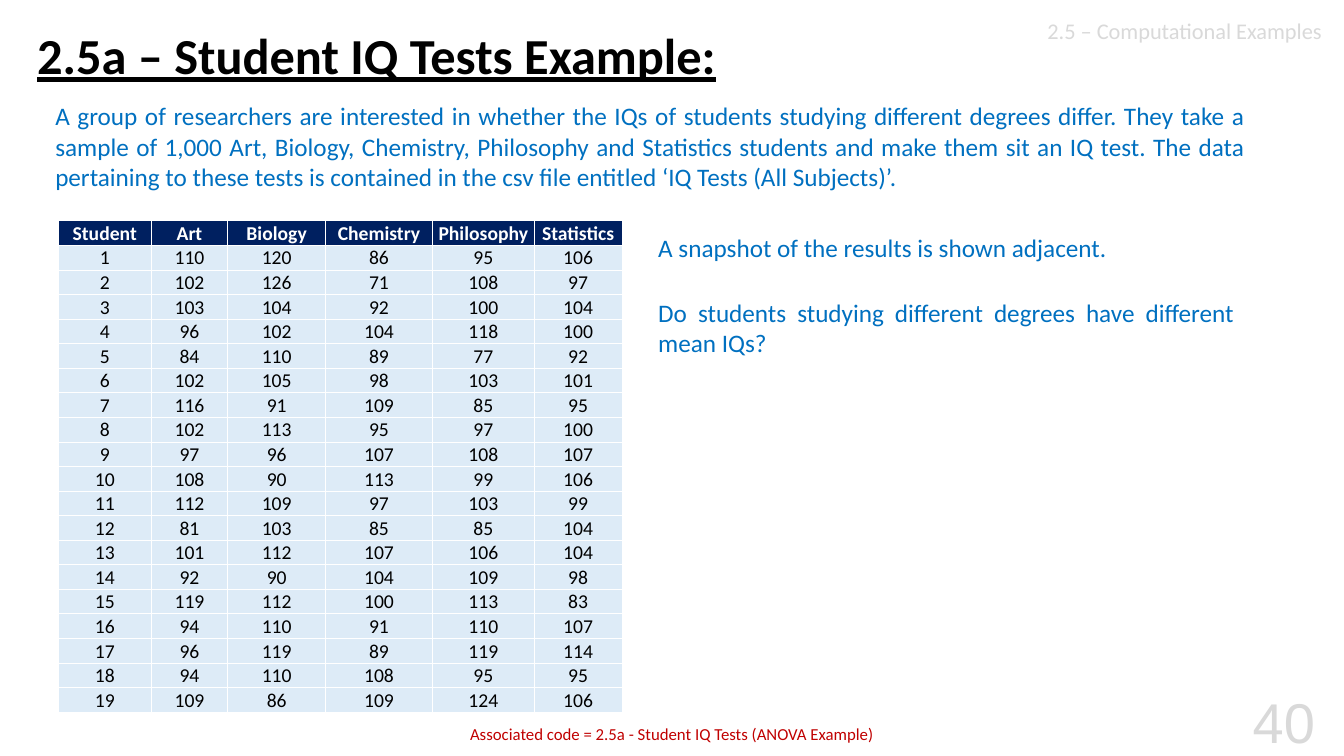
from pptx import Presentation
from pptx.dml.color import RGBColor
from pptx.enum import text
from pptx.oxml import parse_xml
from pptx.oxml.ns import nsdecls
from pptx.util import Inches, Pt

BLACK = RGBColor(0x00, 0x00, 0x00)
WHITE = RGBColor(0xFF, 0xFF, 0xFF)
BLUE = RGBColor(0x00, 0x70, 0xC0)
NAVY = RGBColor(0x00, 0x20, 0x60)
PALE_BLUE = RGBColor(0xDD, 0xEB, 0xF7)
RED = RGBColor(0xC0, 0x00, 0x00)
GREY = RGBColor(0xD9, 0xD9, 0xD9)

ALIGN = text.PP_ALIGN
INTRO = (
    "A group of researchers are interested in whether the IQs of students "
    "studying different degrees differ. They take a sample of 1,000 Art, Biology, "
    "Chemistry, Philosophy and Statistics students and make them sit an IQ test. "
    "The data pertaining to these tests is contained in the csv file entitled "
    "‘IQ Tests (All Subjects)’."
)
SUBJECTS = ["Art", "Biology", "Chemistry", "Philosophy", "Statistics"]
SCORES = [
    (110, 120, 86, 95, 106),
    (102, 126, 71, 108, 97),
    (103, 104, 92, 100, 104),
    (96, 102, 104, 118, 100),
    (84, 110, 89, 77, 92),
    (102, 105, 98, 103, 101),
    (116, 91, 109, 85, 95),
    (102, 113, 95, 97, 100),
    (97, 96, 107, 108, 107),
    (108, 90, 113, 99, 106),
    (112, 109, 97, 103, 99),
    (81, 103, 85, 85, 104),
    (101, 112, 107, 106, 104),
    (92, 90, 104, 109, 98),
    (119, 112, 100, 113, 83),
    (94, 110, 91, 110, 107),
    (96, 119, 89, 119, 114),
    (94, 110, 108, 95, 95),
    (109, 86, 109, 124, 106),
]
COLUMN_WIDTHS = [0.92, 0.76, 0.97, 1.06, 1.01, 0.87]
ROW_HEIGHT = 0.22


def add_span(para, words, size, color, bold=False, underline=False, font="Calibri"):
    """Add one formatted run to a paragraph."""
    span = para.add_run()
    span.text = words
    span.font.name = font
    span.font.size = Pt(size)
    span.font.bold = bold
    span.font.underline = underline
    span.font.color.rgb = color


def add_text(page, place, words, size, color, align, line_spacing=None, **style):
    """Add a wrapping text box holding one paragraph."""
    box = page.shapes.add_textbox(*map(Inches, place))
    box.text_frame.word_wrap = True
    para = box.text_frame.paragraphs[0]
    para.alignment = align
    if line_spacing:
        para.line_spacing = line_spacing
    add_span(para, words, size, color, **style)


def add_borders(cell):
    """Draw thin white lines on the four sides of a cell."""
    properties = cell._tc.get_or_add_tcPr()
    for index, side in enumerate(("lnL", "lnR", "lnT", "lnB")):
        border = parse_xml(
            f'<a:{side} {nsdecls("a")} w="{Pt(0.5)}"><a:solidFill>'
            f'<a:srgbClr val="{WHITE}"/></a:solidFill></a:{side}>'
        )
        properties.insert(index, border)


def fill_cell(cell, words, is_header):
    """Write and format one table cell."""
    cell.margin_left = cell.margin_right = cell.margin_top = Inches(0.01)
    cell.margin_bottom = Inches(0)
    cell.vertical_anchor = text.MSO_ANCHOR.MIDDLE
    cell.fill.solid()
    cell.fill.fore_color.rgb = NAVY if is_header else PALE_BLUE
    add_borders(cell)
    para = cell.text_frame.paragraphs[0]
    para.alignment = ALIGN.CENTER
    add_span(para, words, 14, WHITE if is_header else BLACK, bold=is_header)


def add_score_table(page):
    """Add the table of IQ scores by student and subject."""
    rows = [["Student", *SUBJECTS]]
    rows += [[number, *scores] for number, scores in enumerate(SCORES, 1)]
    frame = page.shapes.add_table(
        len(rows), len(COLUMN_WIDTHS), Inches(0.58), Inches(2.19),
        Inches(sum(COLUMN_WIDTHS)), Inches(ROW_HEIGHT * len(rows)),
    )
    table = frame.table
    for column, width in zip(table.columns, COLUMN_WIDTHS):
        column.width = Inches(width)
    for row_index, row in enumerate(rows):
        for column_index, value in enumerate(row):
            fill_cell(table.cell(row_index, column_index), str(value), row_index == 0)


def main():
    """Build the slide and save the deck."""
    deck = Presentation()
    deck.slide_width = Inches(13.33)
    deck.slide_height = Inches(7.5)
    page = deck.slides.add_slide(deck.slide_layouts[6])

    add_text(page, (9.21, 0.12, 4, 0.37), "2.5 – Computational Examples",
             16, GREY, ALIGN.RIGHT)
    add_text(page, (12.14, 6.77, 1, 0.76), "40", 40, GREY, ALIGN.RIGHT, font="Arial")
    add_text(page, (0.45, 0.95, 12, 1.07), INTRO, 18, BLUE, ALIGN.JUSTIFY)
    add_score_table(page)
    add_text(page, (6.43, 2.26, 5.91, 0.48),
             "A snapshot of the results is shown adjacent.", 18, BLUE, ALIGN.JUSTIFY)
    add_text(page, (6.43, 2.9, 5.91, 0.67),
             "Do students studying different degrees have different mean IQs?",
             18, BLUE, ALIGN.JUSTIFY)
    add_text(page, (3.29, 7.13, 6.75, 0.34),
             "Associated code = 2.5a - Student IQ Tests (ANOVA Example)",
             12, RED, ALIGN.CENTER)
    add_text(page, (0.27, 0.26, 10.07, 0.66), "2.5a – Student IQ Tests Example:",
             36, BLACK, ALIGN.LEFT, line_spacing=0.9, bold=True, underline=True)

    deck.save("out.pptx")


if __name__ == "__main__":
    main()
